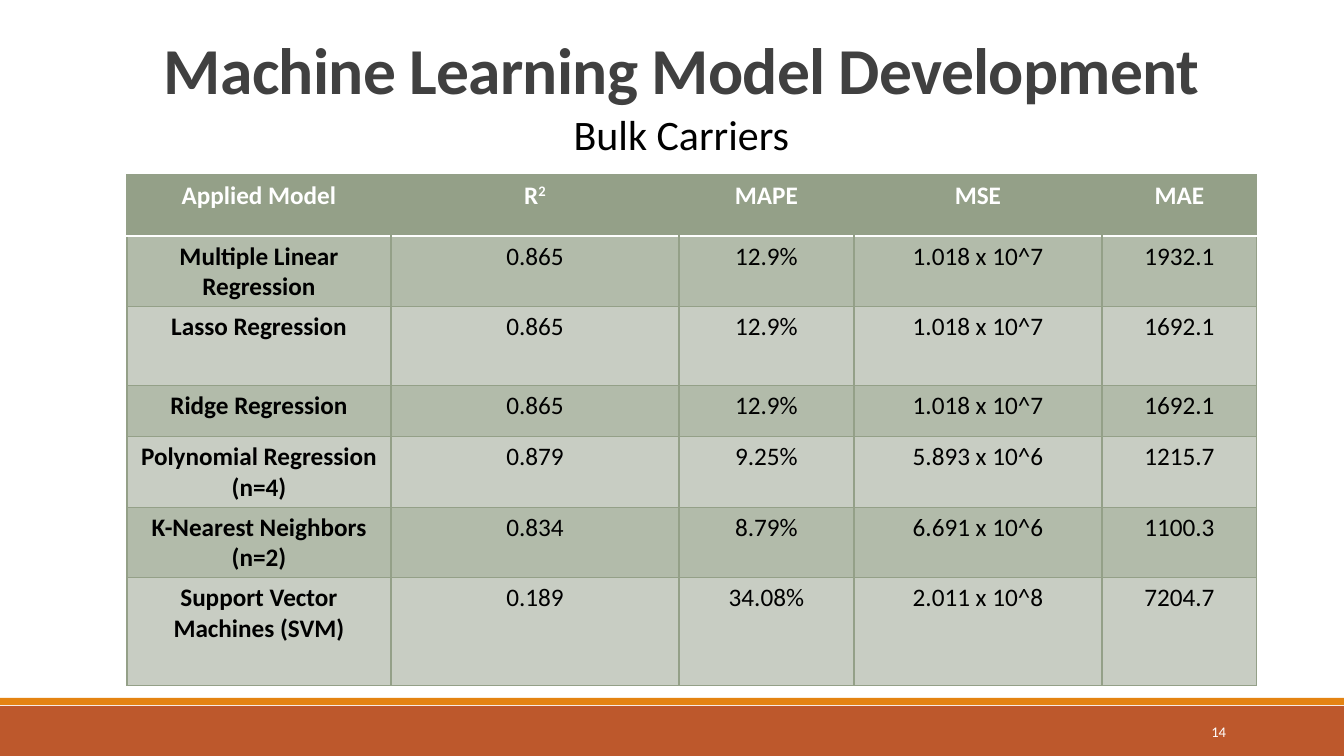
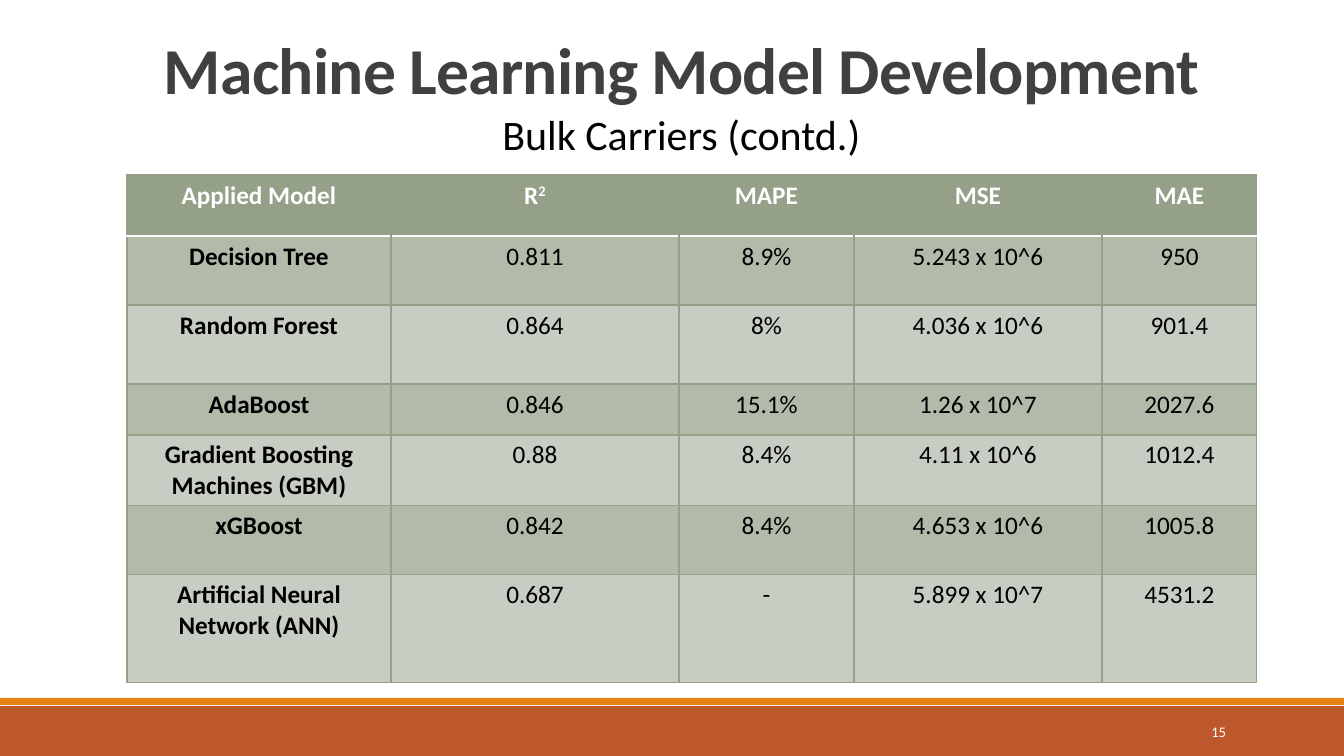
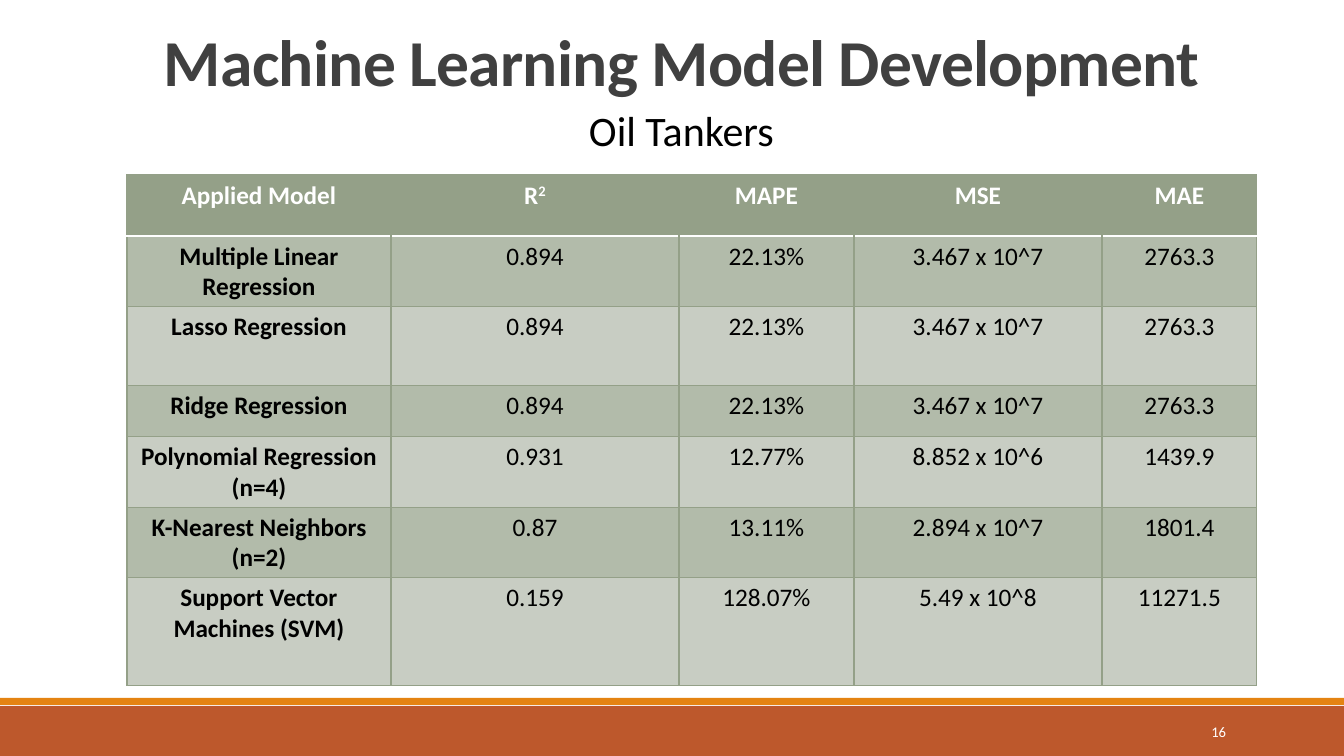
import pptx
import pptx.util
import pptx.dml.color
import pptx.enum.shapes
import pptx.enum.text
import lxml.etree

PX = 12192000 / 1344
FONT = "Calibri"
SAGE, SAGE_MID, SAGE_LIGHT = "94A088", "B2BBAA", "C8CDC3"
RUST, ORANGE = "BD582C", "E48312"
WHITE, BLACK, CHARCOAL = "FFFFFF", "000000", "404040"
ALIGN = pptx.enum.text.PP_ALIGN
ANCHOR = pptx.enum.text.MSO_ANCHOR

TITLE = "Machine Learning Model Development"
HEADER = ("Applied Model", "R²", "MAPE", "MSE", "MAE")
COLS = (264, 288, 175, 248, 155)
ROWS = (61, 69, 79, 51, 69, 69, 108)
BANDS = ((706, 50, RUST), (698, 7, ORANGE))
FIRST_NUMBER = 14

SLIDES = [
    {"subtitle": "Bulk Carriers", "title_y": 36, "subtitle_y": 104, "rows": [
        ("Multiple Linear Regression", "0.865", "12.9%", "1.018 x 10^7", "1932.1"),
        ("Lasso Regression", "0.865", "12.9%", "1.018 x 10^7", "1692.1"),
        ("Ridge Regression", "0.865", "12.9%", "1.018 x 10^7", "1692.1"),
        ("Polynomial Regression (n=4)", "0.879", "9.25%", "5.893 x 10^6", "1215.7"),
        ("K-Nearest Neighbors (n=2)", "0.834", "8.79%", "6.691 x 10^6", "1100.3"),
        ("Support Vector Machines (SVM)", "0.189", "34.08%", "2.011 x 10^8", "7204.7"),
    ]},
    {"subtitle": "Bulk Carriers (contd.)", "title_y": 36, "subtitle_y": 104, "rows": [
        ("Decision Tree", "0.811", "8.9%", "5.243 x 10^6", "950"),
        ("Random Forest", "0.864", "8%", "4.036 x 10^6", "901.4"),
        ("AdaBoost", "0.846", "15.1%", "1.26 x 10^7", "2027.6"),
        ("Gradient Boosting Machines (GBM)", "0.88", "8.4%", "4.11 x 10^6", "1012.4"),
        ("xGBoost", "0.842", "8.4%", "4.653 x 10^6", "1005.8"),
        ("Artificial Neural Network (ANN)", "0.687", "-", "5.899 x 10^7", "4531.2"),
    ]},
    {"subtitle": "Oil Tankers", "title_y": 28, "subtitle_y": 100, "rows": [
        ("Multiple Linear Regression", "0.894", "22.13%", "3.467 x 10^7", "2763.3"),
        ("Lasso Regression", "0.894", "22.13%", "3.467 x 10^7", "2763.3"),
        ("Ridge Regression", "0.894", "22.13%", "3.467 x 10^7", "2763.3"),
        ("Polynomial Regression (n=4)", "0.931", "12.77%", "8.852 x 10^6", "1439.9"),
        ("K-Nearest Neighbors (n=2)", "0.87", "13.11%", "2.894 x 10^7", "1801.4"),
        ("Support Vector Machines (SVM)", "0.159", "128.07%", "5.49 x 10^8", "11271.5"),
    ]},
]


def px(n):
    return pptx.util.Emu(round(n * PX))


def paint(fill, color):
    fill.solid()
    fill.fore_color.rgb = pptx.dml.color.RGBColor.from_string(color)


def write(p, text, size, color, bold=False, align=ALIGN.CENTER):
    p.alignment = align
    p.font.name = FONT
    p.font.size = pptx.util.Pt(size)
    p.font.bold = bold
    p.font.color.rgb = pptx.dml.color.RGBColor.from_string(color)
    r = p.add_run()
    r.text = text
    return r


def add_text(s, box, text, size, color, bold=False, align=ALIGN.CENTER, anchor=ANCHOR.TOP):
    tf = s.shapes.add_textbox(*map(px, box)).text_frame
    tf.word_wrap = True
    tf.vertical_anchor = anchor
    p = tf.paragraphs[0]
    return p, write(p, text, size, color, bold, align)


def add_bands(s):
    for y, height, color in BANDS:
        sp = s.shapes.add_shape(pptx.enum.shapes.MSO_SHAPE.RECTANGLE,
                                px(0), px(y), px(1344), px(height))
        sp.shadow.inherit = False
        paint(sp.fill, color)
        sp.line.fill.background()


def set_border(cell, side, color, width=1):
    ns = "{http://schemas.openxmlformats.org/drawingml/2006/main}"
    tcPr = cell._tc.get_or_add_tcPr()
    ln = lxml.etree.SubElement(tcPr, ns + "ln" + side, w=str(round(width * 12700)))
    if color is None:
        lxml.etree.SubElement(ln, ns + "noFill")
    else:
        fill = lxml.etree.SubElement(ln, ns + "solidFill")
        lxml.etree.SubElement(fill, ns + "srgbClr", val=color)


def style_cell(cell, row, col):
    head = row == 0
    last = len(COLS) - 1
    set_border(cell, "L", None if head and col > 0 else SAGE)
    set_border(cell, "R", None if head and col < last else SAGE)
    set_border(cell, "T", *((WHITE, 1.25) if row == 1 else (SAGE,)))
    set_border(cell, "B", *((WHITE, 1.25) if head else (SAGE,)))
    paint(cell.fill, SAGE if head else SAGE_MID if row % 2 else SAGE_LIGHT)


def add_results(s, rows):
    table = s.shapes.add_table(len(ROWS), len(COLS), px(127), px(175),
                               px(sum(COLS)), px(sum(ROWS))).table
    table.horz_banding = False
    for column, width in zip(table.columns, COLS):
        column.width = px(width)
    for row, height in zip(table.rows, ROWS):
        row.height = px(height)
    for i, values in enumerate([HEADER] + rows):
        for j, value in enumerate(values):
            cell = table.cell(i, j)
            style_cell(cell, i, j)
            p = cell.text_frame.paragraphs[0]
            write(p, value.rstrip("²"), 18, WHITE if i == 0 else BLACK, i == 0 or j == 0)
            if value.endswith("²"):
                r = p.add_run()
                r.text = "2"
                r._r.get_or_add_rPr().set("baseline", "30000")


def main():
    prs = pptx.Presentation()
    prs.slide_width, prs.slide_height = px(1344), px(756)
    for number, content in enumerate(SLIDES, FIRST_NUMBER):
        s = prs.slides.add_slide(prs.slide_layouts[6])
        add_bands(s)
        add_text(s, (1092, 712, 144, 40), str(number), 10.5, WHITE,
                 align=ALIGN.RIGHT, anchor=ANCHOR.MIDDLE)
        p, r = add_text(s, (127, content["title_y"], 1109, 160), TITLE, 46.8, CHARCOAL, True)
        p.line_spacing = 0.85
        r._r.get_or_add_rPr().set("spc", "-50")
        add_text(s, (39, content["subtitle_y"], 1285, 61), content["subtitle"], 30, BLACK)
        add_results(s, content["rows"])
    prs.save("out.pptx")


if __name__ == "__main__":
    main()
